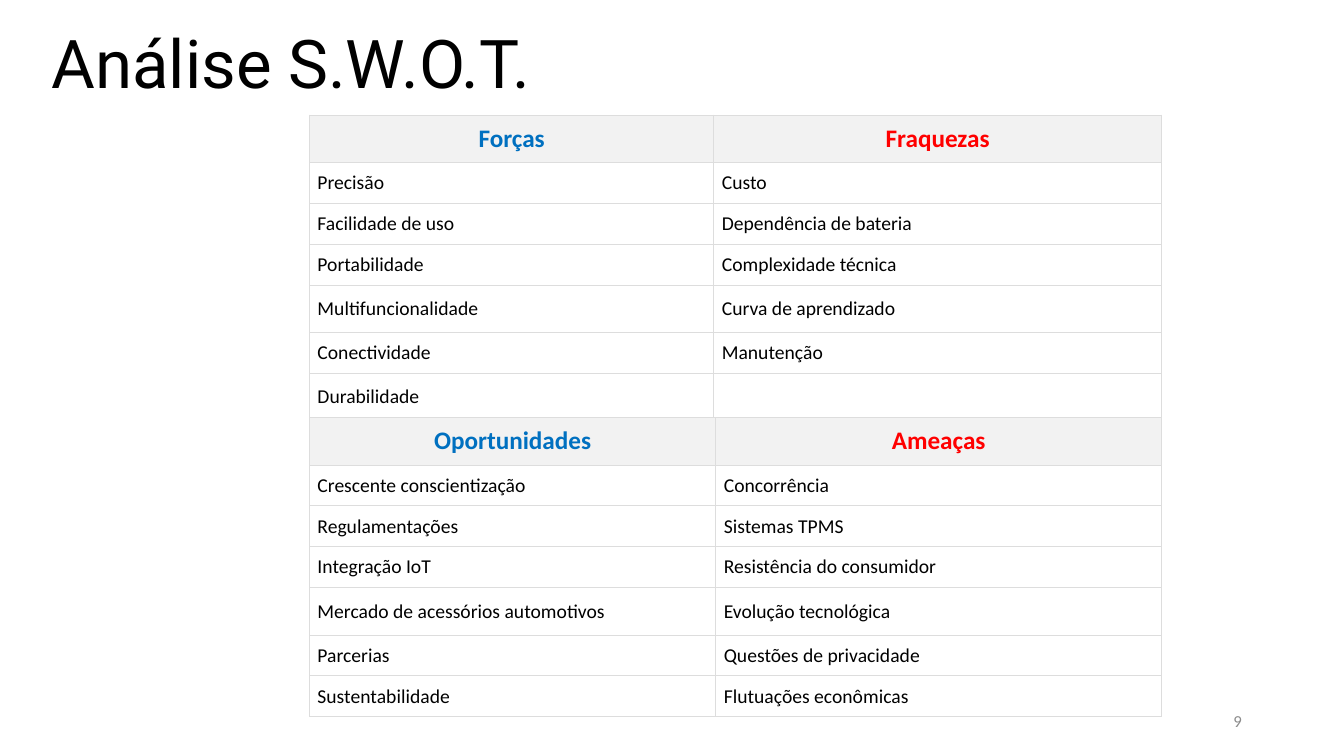
import dataclasses

import pptx
import pptx.dml.color
import pptx.enum.text
import pptx.oxml
import pptx.oxml.ns
import pptx.util
from pptx.util import Cm

ALIGN = pptx.enum.text.PP_ALIGN
MIDDLE = pptx.enum.text.MSO_ANCHOR.MIDDLE


@dataclasses.dataclass(frozen=True)
class Theme:
    ink: str = "000000"
    good: str = "0070C0"
    bad: str = "FF0000"
    head: str = "F2F2F2"
    rule: str = "DDDDDD"
    page: str = "8C8C8C"
    title: dict = dataclasses.field(
        default_factory=lambda: {"name": "Roboto", "size": pptx.util.Pt(48)})
    label: dict = dataclasses.field(
        default_factory=lambda: {"name": "Calibri", "size": pptx.util.Pt(18), "bold": True})
    body: dict = dataclasses.field(
        default_factory=lambda: {"name": "Calibri", "size": pptx.util.Pt(14), "bold": False})
    note: dict = dataclasses.field(
        default_factory=lambda: {"name": "Calibri", "size": pptx.util.Pt(12)})


THEME = Theme()

STRONG = [
    ("Forças", "Fraquezas"),
    ("Precisão", "Custo"),
    ("Facilidade de uso", "Dependência de bateria"),
    ("Portabilidade", "Complexidade técnica"),
    ("Multifuncionalidade", "Curva de aprendizado"),
    ("Conectividade", "Manutenção"),
    ("Durabilidade", ""),
]
CHANCE = [
    ("Oportunidades", "Ameaças"),
    ("Crescente conscientização", "Concorrência"),
    ("Regulamentações", "Sistemas TPMS"),
    ("Integração IoT", "Resistência do consumidor"),
    ("Mercado de acessórios automotivos", "Evolução tecnológica"),
    ("Parcerias", "Questões de privacidade"),
    ("Sustentabilidade", "Flutuações econômicas"),
]


def paint(hue):
    return pptx.dml.color.RGBColor.from_string(hue)


def apply(item, values):
    for name, value in values.items():
        setattr(item, name, value)


def write(frame, text, font, hue, align):
    para = frame.paragraphs[0]
    para.alignment = align
    run = para.add_run()
    run.text = text
    apply(run.font, font)
    run.font.color.rgb = paint(hue)
    return para


def border(cell):
    space = pptx.oxml.ns.nsdecls("a")
    props = cell._tc.get_or_add_tcPr()
    for side in "LRTB":
        props.append(pptx.oxml.parse_xml(
            f'<a:ln{side} {space} w="9525"><a:solidFill>'
            f'<a:srgbClr val="{THEME.rule}"/></a:solidFill></a:ln{side}>'))


def add_title(slide, box, text):
    title = slide.shapes.title
    apply(title, dict(zip(("left", "top", "width", "height"), box)))
    apply(title.text_frame, {"vertical_anchor": MIDDLE, "word_wrap": True})
    para = write(title.text_frame, text, THEME.title, THEME.ink, ALIGN.LEFT)
    para.line_spacing = 0.9


def add_page(slide, box, text):
    frame = slide.shapes.add_textbox(*box).text_frame
    apply(frame, {"vertical_anchor": MIDDLE, "word_wrap": True})
    write(frame, text, THEME.note, THEME.page, ALIGN.RIGHT)


def add_grid(slide, box, rows, split):
    """Two columns under a shaded heading row; split is the first column's width."""
    table = slide.shapes.add_table(len(rows), 2, *box).table
    apply(table, {"first_row": False, "horz_banding": False})
    for column, width in zip(table.columns, (split, box[2] - split)):
        column.width = width

    # The heading and the fifth row are taller than the others
    tall = Cm(1.2)
    low = (box[3] - 2 * tall) // (len(rows) - 2)
    for i, row in enumerate(rows):
        table.rows[i].height = tall if i in (0, 4) else low
        for j, text in enumerate(row):
            cell = table.cell(i, j)
            border(cell)
            sides = ("left", "right", "top", "bottom")
            apply(cell, {f"margin_{side}": Cm(0.2) for side in sides})
            cell.vertical_anchor = MIDDLE
            if i == 0:
                cell.fill.solid()
                cell.fill.fore_color.rgb = paint(THEME.head)
                hue = (THEME.good, THEME.bad)[j]
                write(cell.text_frame, text, THEME.label, hue, ALIGN.CENTER)
            else:
                cell.fill.background()
                write(cell.text_frame, text, THEME.body, THEME.ink, ALIGN.LEFT)


def add_swot(deck):
    slide = deck.slides.add_slide(deck.slide_layouts[5])
    add_title(slide, (Cm(1.04), Cm(-0.15), Cm(29.21), Cm(3.68)), "Análise S.W.O.T.")
    add_page(slide, (Cm(23.93), Cm(17.65), Cm(7.62), Cm(1.02)), "9")

    # Inner factors above, outer factors below
    left, width, height = Cm(7.8), Cm(21.47), Cm(7.54)
    add_grid(slide, (left, Cm(2.9), width, height), STRONG, Cm(10.19))
    add_grid(slide, (left, Cm(10.52), width, height), CHANCE, Cm(10.24))


def main():
    deck = pptx.Presentation()
    apply(deck, {"slide_width": Cm(33.87), "slide_height": Cm(19.05)})
    add_swot(deck)
    deck.save("out.pptx")


if __name__ == "__main__":
    main()
